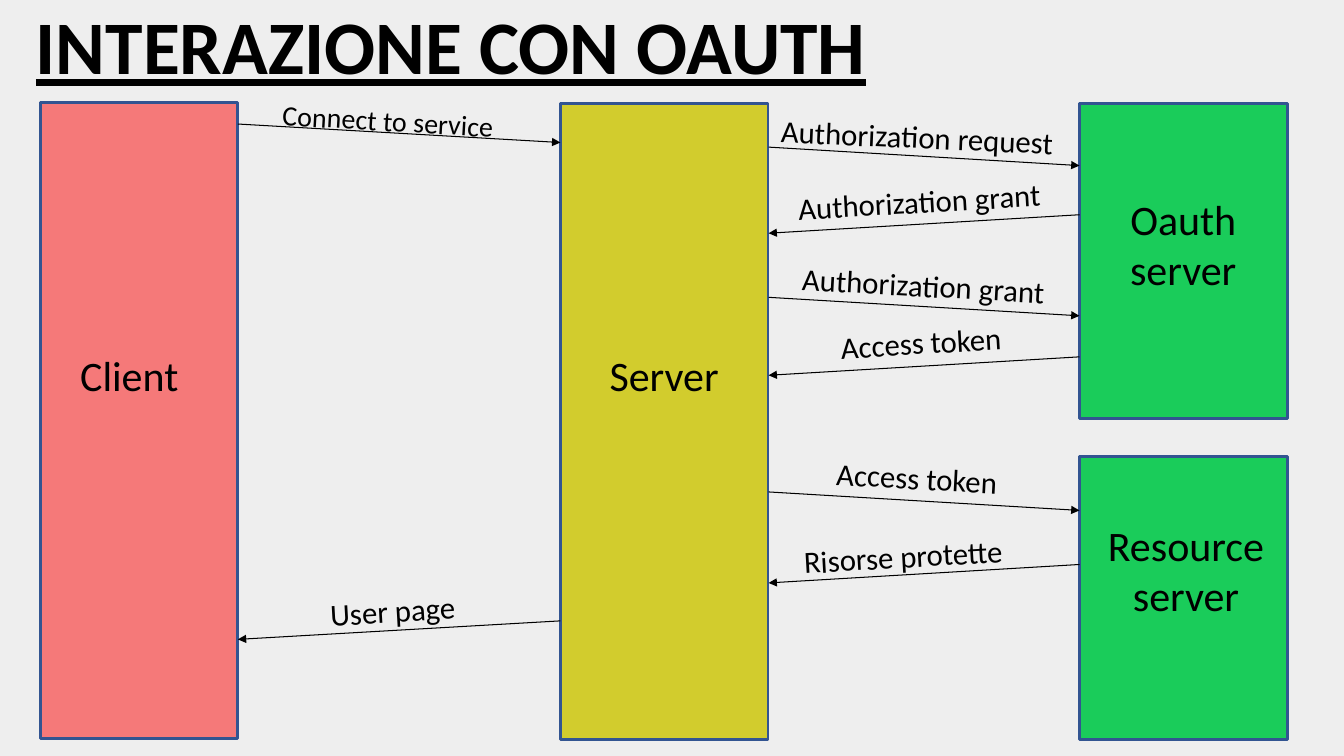
import dataclasses

import lxml.etree
import pptx
import pptx.dml.color
import pptx.enum.shapes
import pptx.enum.text
import pptx.oxml.ns
import pptx.util

Pt = pptx.util.Pt


@dataclasses.dataclass(frozen=True)
class Theme:
    """Colours, font and type sizes of the slide."""
    back: str = "EEEEEE"
    ink: str = "000000"
    edge: str = "325491"
    client: str = "F57979"
    server: str = "D2CC2D"
    remote: str = "1ACC5A"
    font: str = "Calibri"
    title: int = 54
    name: int = 30
    note: int = 22
    small: int = 20


THEME = Theme()


def color(code):
    """Turn a hex code into a colour."""
    return pptx.dml.color.RGBColor.from_string(code)


def write(slide, text, box, size, bold=False, line=False, wrap=False, turn=0):
    """Write centred text in a box given as left, top, width, height."""
    label = slide.shapes.add_textbox(*map(Pt, box))
    label.rotation = turn
    frame = label.text_frame
    frame.word_wrap = wrap
    frame.vertical_anchor = pptx.enum.text.MSO_ANCHOR.MIDDLE
    frame.text = text
    for para in frame.paragraphs:
        para.alignment = pptx.enum.text.PP_ALIGN.CENTER
        font = para.runs[0].font
        font.name, font.size = THEME.font, Pt(size)
        font.bold, font.underline = bold, line
        font.color.rgb = color(THEME.ink)


def actor(slide, text, box, fill, mid, shift=0):
    """Draw an actor's block, its name centred at height mid."""
    left, top, width, height = box
    block = slide.shapes.add_shape(
        pptx.enum.shapes.MSO_SHAPE.RECTANGLE, *map(Pt, box))
    block.shadow.inherit = False
    block.fill.solid()
    block.fill.fore_color.rgb = color(fill)
    block.line.color.rgb = color(THEME.edge)
    block.line.width = Pt(2)
    high = 79 if "\n" in text else 43
    place = (left + shift, top + mid - high / 2, width, high)
    write(slide, text, place, THEME.name, wrap=True)


def arrow(slide, start, end):
    """Draw a thin arrow from start to end."""
    link = slide.shapes.add_connector(
        pptx.enum.shapes.MSO_CONNECTOR.STRAIGHT, *map(Pt, start + end))
    link.line.color.rgb = color(THEME.ink)
    link.line.width = Pt(0.75)
    tag = pptx.oxml.ns.qn
    lxml.etree.SubElement(
        link.line._get_or_add_ln(), tag("a:tailEnd"), type="triangle")
    lxml.etree.SubElement(link._element.spPr, tag("a:effectLst"))


def lane(slide, box, notes):
    """Draw the messages that cross the gap between two actors."""
    left, top, width, height = box
    drop = 13.2
    for text, down, back, shift, rise, turn, size in notes:
        near, far = (left + width, left) if back else (left, left + width)
        start = top + down
        arrow(slide, (near, start), (far, start + drop))
        place = (left + shift, start - rise - 17, width, 34)
        write(slide, text, place, size, turn=turn)


def build():
    """Build the slide and save it."""
    deck = pptx.Presentation()
    deck.slide_width, deck.slide_height = Pt(960), Pt(540)
    slide = deck.slides.add_slide(deck.slide_layouts[6])
    slide.background.fill.solid()
    slide.background.fill.fore_color.rgb = color(THEME.back)

    write(slide, "INTERAZIONE CON OAUTH", (13.7, -4.3, 617, 72),
          THEME.title, bold=True, line=True)
    top, wide, tall = 74.2, 148.3, 454.3
    actor(slide, "Client", (28.8, 73.4, 141.1, tall), THEME.client, 194.4, -7)
    actor(slide, "Server", (400.3, top, wide, tall), THEME.server, 193.6)
    actor(slide, "Oauth\nserver", (771.1, top, wide, 224.6),
          THEME.remote, 100)
    actor(slide, "Resource\nserver", (771.1, 326.2, wide, 202.3),
          THEME.remote, 80.6, 2)

    note = THEME.note
    lane(slide, (169.9, top, 230.4, tall), [
        ("Connect to service", 14.4, False, -8, 2.6, 3.4, THEME.small),
        ("User page", 369.3, True, -4.7, 7.5, 356.7, note),
    ])
    lane(slide, (549, top, 222.1, tall), [
        ("Authorization request", 30.9, False, -5, 7.5, 2.6, note),
        ("Authorization grant", 79.2, True, -3.5, 9.8, 356.7, note),
        ("Authorization grant", 138.2, False, -0.5, 9, 3.1, note),
        ("Access token", 180.7, True, -2.3, 10.5, 356.7, note),
        ("Access token", 277.2, False, -5.2, 10.5, 3.1, note),
        ("Risorse protette", 329, True, -15, 6.1, 356.7, note),
    ])
    deck.save("out.pptx")


if __name__ == "__main__":
    build()
